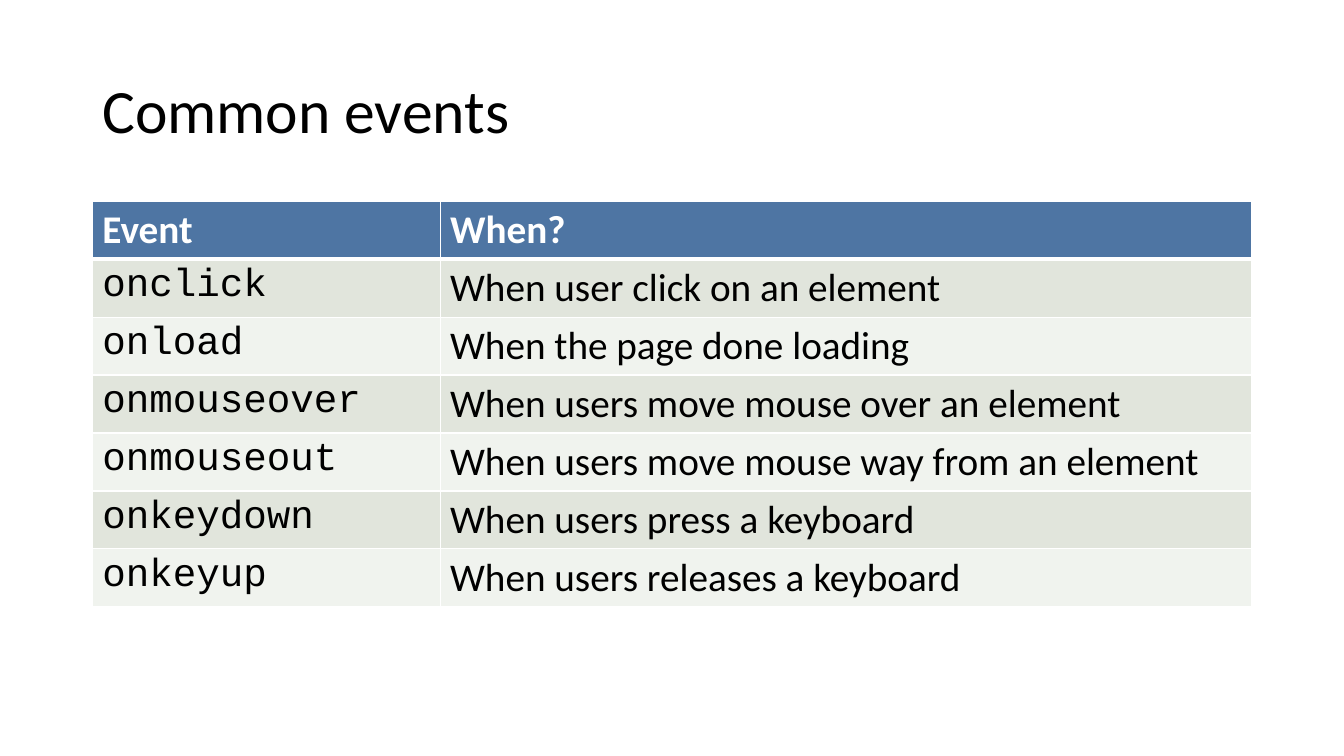
from dataclasses import dataclass

from lxml import etree
from pptx import Presentation
from pptx.dml.color import RGBColor
from pptx.enum.text import MSO_ANCHOR
from pptx.oxml.ns import qn
from pptx.util import Pt

MIDDLE = MSO_ANCHOR.MIDDLE


@dataclass(frozen=True)
class Theme:
    text: str = "000000"
    light: str = "FFFFFF"
    header: str = "4E75A3"
    bands: tuple = ("E1E5DC", "F0F3EE")
    body_font: str = "Calibri"
    code_font: str = "Courier New"
    title_size: float = 44
    table_size: float = 28
    border: float = 1
    header_border: float = 3


THEME = Theme()

HEADINGS = ("Event", "When?")
EVENTS = (
    ("onclick", "When user click on an element"),
    ("onload", "When the page done loading"),
    ("onmouseover", "When users move mouse over an element"),
    ("onmouseout", "When users move mouse way from an element"),
    ("onkeydown", "When users press a keyboard"),
    ("onkeyup", "When users releases a keyboard"),
)


def style_run(r, font, size, color, bold=False):
    r.font.name = font
    r.font.size = Pt(size)
    r.font.bold = bold
    r.font.color.rgb = RGBColor.from_string(color)


def add_border(cell, side, width):
    ln = etree.SubElement(cell._tc.get_or_add_tcPr(), qn(f"a:ln{side}"), w=str(Pt(width)))
    fill = etree.SubElement(ln, qn("a:solidFill"))
    etree.SubElement(fill, qn("a:srgbClr"), val=THEME.light)


def add_title(s, text, left, top, width, height):
    tf = s.shapes.add_textbox(Pt(left), Pt(top), Pt(width), Pt(height)).text_frame
    tf.word_wrap = True
    tf.vertical_anchor = MIDDLE
    tf.text = text
    p = tf.paragraphs[0]
    p.line_spacing = 0.9
    style_run(p.runs[0], THEME.body_font, THEME.title_size, THEME.text)


def fill_cell(cell, text, row, col):
    is_header = row == 0
    top = THEME.header_border if row == 1 else THEME.border
    bottom = THEME.header_border if is_header else THEME.border
    for side, width in (("L", THEME.border), ("R", THEME.border), ("T", top), ("B", bottom)):
        add_border(cell, side, width)
    cell.fill.solid()
    fill = THEME.header if is_header else THEME.bands[(row - 1) % 2]
    cell.fill.fore_color.rgb = RGBColor.from_string(fill)
    cell.text = text
    font = THEME.code_font if col == 0 and not is_header else THEME.body_font
    color = THEME.light if is_header else THEME.text
    style_run(cell.text_frame.paragraphs[0].runs[0], font, THEME.table_size, color, is_header)


def add_event_table(s, rows, left, top, width, height):
    table = s.shapes.add_table(
        len(rows), len(HEADINGS), Pt(left), Pt(top), Pt(width), Pt(height)
    ).table
    for column, share in zip(table.columns, (0.3, 0.7)):
        column.width = Pt(width * share)
    for row, texts in enumerate(rows):
        table.rows[row].height = Pt(height / len(rows))
        for col, text in enumerate(texts):
            fill_cell(table.cell(row, col), text, row, col)


def add_events_slide(prs):
    s = prs.slides.add_slide(prs.slide_layouts[6])
    add_title(s, "Common events", 66, 28.75, 828, 104.4)
    add_event_table(s, (HEADINGS, *EVENTS), 66, 143.75, 828, 289.8)


prs = Presentation()
prs.slide_width, prs.slide_height = Pt(960), Pt(540)
add_events_slide(prs)
prs.save("out.pptx")
